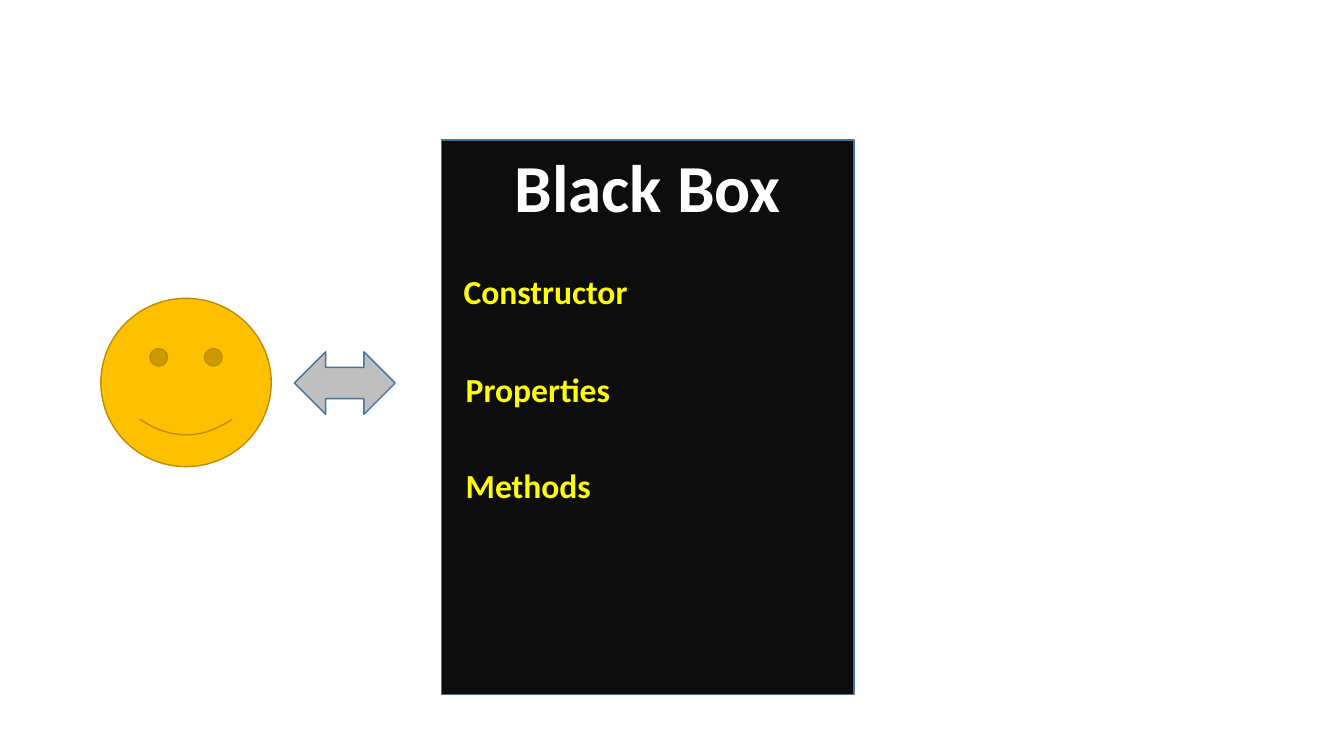
import pptx
import pptx.util
import pptx.dml.color
import pptx.enum.shapes
import pptx.enum.text

Inches = pptx.util.Inches
SHAPES = pptx.enum.shapes.MSO_SHAPE
ALIGN = pptx.enum.text.PP_ALIGN
COLOURS = {
    "box": "0D0D0D",
    "outline": "43739E",
    "face": "FFC000",
    "face_outline": "BD8E00",
    "arrow": "BFBFBF",
    "heading": "FFFFFF",
    "member": "FFFF00",
}


class BlackBoxSlide:
    """Draws styled elements on one slide."""

    def __init__(self, slide, font="Calibri"):
        self.slide = slide
        self.font = font

    def colour(self, name):
        return pptx.dml.color.RGBColor.from_string(COLOURS[name])

    def shape(self, kind, left, top, width, height, fill, line):
        figure = self.slide.shapes.add_shape(
            kind, Inches(left), Inches(top), Inches(width), Inches(height))
        figure.shadow.inherit = False
        figure.fill.solid()
        figure.fill.fore_color.rgb = self.colour(fill)
        figure.line.color.rgb = self.colour(line)
        figure.line.width = pptx.util.Pt(1)
        return figure

    def add_words(self, frame, text, size, colour, align):
        paragraph = frame.paragraphs[0]
        paragraph.alignment = align
        run = paragraph.add_run()
        run.text = text
        run.font.name = self.font
        run.font.size = pptx.util.Pt(size)
        run.font.bold = True
        run.font.color.rgb = self.colour(colour)

    def heading(self, box, text):
        box.text_frame.vertical_anchor = pptx.enum.text.MSO_ANCHOR.TOP
        self.add_words(box.text_frame, text, 48, "heading", ALIGN.CENTER)

    def member(self, text, left, top, width):
        label = self.slide.shapes.add_textbox(
            Inches(left), Inches(top), Inches(width), Inches(0.5))
        label.text_frame.word_wrap = False
        label.text_frame.auto_size = pptx.enum.text.MSO_AUTO_SIZE.SHAPE_TO_FIT_TEXT
        self.add_words(label.text_frame, text, 24, "member", ALIGN.LEFT)


def main():
    deck = pptx.Presentation()
    deck.slide_width = Inches(13.33)
    deck.slide_height = Inches(7.5)
    page = BlackBoxSlide(deck.slides.add_slide(deck.slide_layouts[6]))

    black_box = page.shape(SHAPES.RECTANGLE, 4.38, 1.39, 4.09, 5.5, "box", "outline")
    page.heading(black_box, "Black Box")
    page.shape(SHAPES.SMILEY_FACE, 1, 2.96, 1.69, 1.67, "face", "face_outline")
    page.shape(SHAPES.LEFT_RIGHT_ARROW, 2.92, 3.49, 1, 0.62, "arrow", "outline")

    members = [
        ("Constructor", 4.5, 2.64, 1.84),
        ("Properties", 4.52, 3.61, 1.65),
        ("Methods", 4.52, 4.56, 1.46),
    ]
    for member in members:
        page.member(*member)

    deck.save("out.pptx")


if __name__ == "__main__":
    main()
